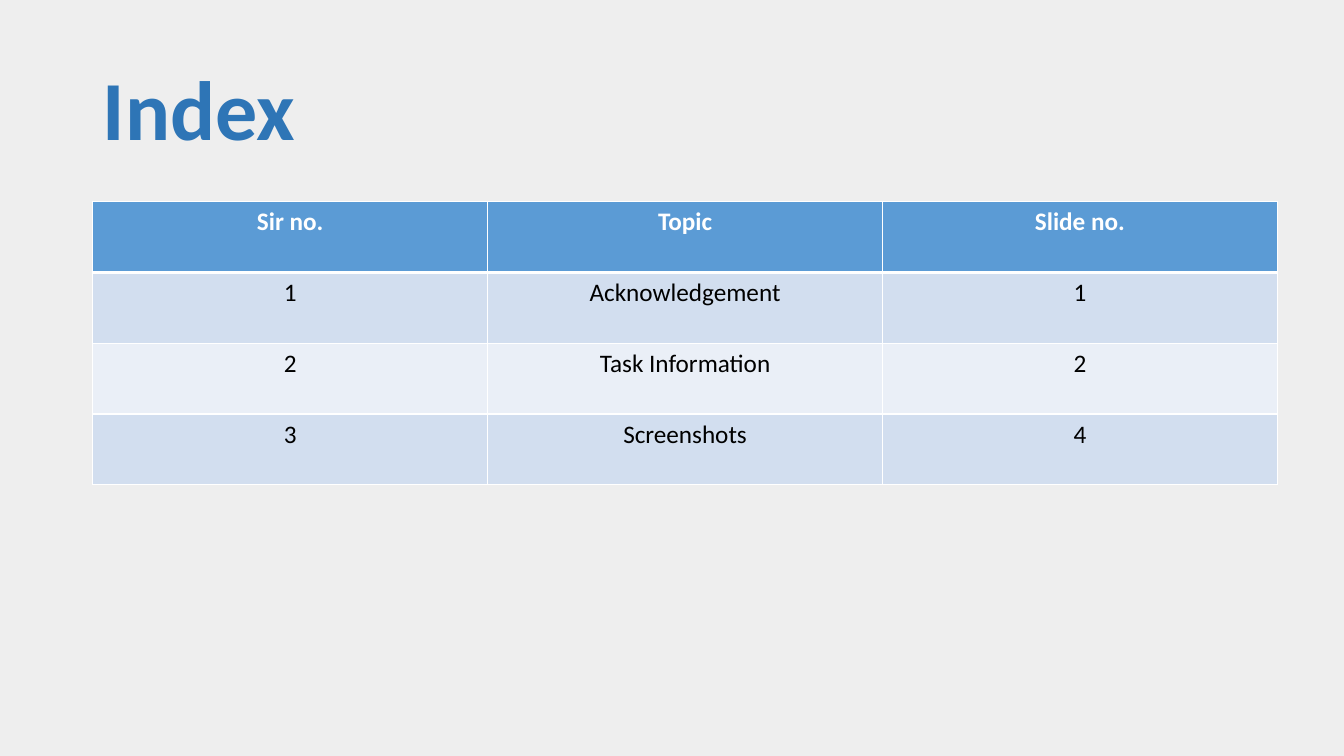
import pptx
import pptx.dml.color
import pptx.enum.text
import pptx.oxml.ns
import pptx.util
from lxml import etree
from pptx.util import Inches

FONT = "Calibri"
ROWS = [
    ("Sir no.", "Topic", "Slide no."),
    ("1", "Acknowledgement", "1"),
    ("2", "Task Information", "2"),
    ("3", "Screenshots", "4"),
]


def rgb(value):
    return pptx.dml.color.RGBColor.from_string(value)


def set_font(p, size, color, bold):
    p.font.name = FONT
    p.font.size = pptx.util.Pt(size)
    p.font.bold = bold
    p.font.color.rgb = rgb(color)


def add_title(slide, text):
    sp = slide.shapes.add_textbox(Inches(0.92), Inches(0.4), Inches(11.5), Inches(1.45))
    tf = sp.text_frame
    tf.word_wrap = True
    tf.vertical_anchor = pptx.enum.text.MSO_ANCHOR.MIDDLE
    p = tf.paragraphs[0]
    p.text = text
    p.line_spacing = 0.9
    set_font(p, 60, "2E75B6", True)


def set_borders(cell, color, **widths):
    """Draw cell borders; widths in points, keyed by side: L, R, T, B in that order."""
    tc_pr = cell._tc.get_or_add_tcPr()
    qn = pptx.oxml.ns.qn
    for side, width in widths.items():
        ln = etree.SubElement(tc_pr, qn(f"a:ln{side}"), w=str(pptx.util.Pt(width)))
        fill = etree.SubElement(ln, qn("a:solidFill"))
        etree.SubElement(fill, qn("a:srgbClr"), val=color)


def style_cell(cell, row):
    header = row == 0
    set_borders(cell, "FFFFFF", L=1, R=1, T=3 if row == 1 else 1, B=3 if header else 1)
    cell.fill.solid()
    band = "D2DEEF" if row % 2 else "EAEFF7"
    cell.fill.fore_color.rgb = rgb("5B9BD5" if header else band)
    p = cell.text_frame.paragraphs[0]
    p.alignment = pptx.enum.text.PP_ALIGN.CENTER
    set_font(p, 18, "FFFFFF" if header else "000000", header)


def add_index_table(slide, rows):
    frame = slide.shapes.add_table(
        len(rows), len(rows[0]), Inches(0.92), Inches(2), Inches(11.75), Inches(2.81))
    for i, row in enumerate(rows):
        for j, text in enumerate(row):
            cell = frame.table.cell(i, j)
            cell.text = text
            style_cell(cell, i)


def main():
    prs = pptx.Presentation()
    prs.slide_width = Inches(13.33)
    prs.slide_height = Inches(7.5)
    slide = prs.slides.add_slide(prs.slide_layouts[6])
    slide.background.fill.solid()
    slide.background.fill.fore_color.rgb = rgb("EEEEEE")
    add_title(slide, "Index")
    add_index_table(slide, ROWS)
    prs.save("out.pptx")


if __name__ == "__main__":
    main()
